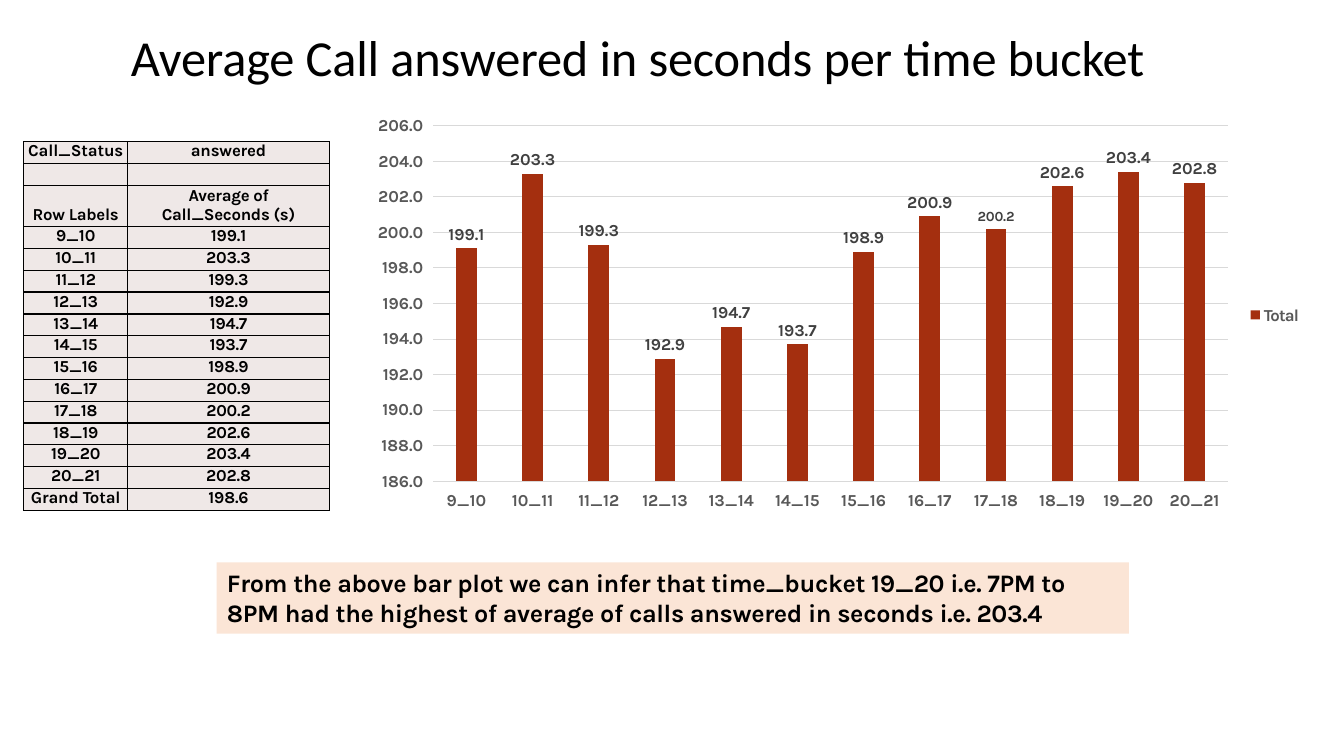
import pptx
import pptx.util
import pptx.chart.data
import pptx.dml.color
import pptx.enum.chart
import pptx.enum.shapes
import pptx.enum.text
import pptx.oxml
import pptx.oxml.ns
from pptx.util import Cm, Pt
from pptx.dml.color import RGBColor

BLACK = RGBColor(0x00, 0x00, 0x00)
DARK = RGBColor(0x40, 0x40, 0x40)
GREY = RGBColor(0x58, 0x58, 0x58)
GRID = RGBColor(0xD9, 0xD9, 0xD9)
RUST = RGBColor(0xA4, 0x2F, 0x0F)
CELL = RGBColor(0xEF, 0xE8, 0xE7)
PEACH = RGBColor(0xFB, 0xE5, 0xD6)

BUCKETS = [f"{hour}_{hour + 1}" for hour in range(9, 21)]
AVERAGES = [199.1, 203.3, 199.3, 192.9, 194.7, 193.7,
            198.9, 200.9, 200.2, 202.6, 203.4, 202.8]
ROWS = [("Call_Status", "answered"), ("", ""),
        ("Row Labels", "Average of Call_Seconds (s)"),
        *((b, str(a)) for b, a in zip(BUCKETS, AVERAGES)),
        ("Grand Total", "198.6")]
HEADER_ROW = 2


class SlideBuilder:
    text_font = "Karla"
    title_font = "Calibri"

    def __init__(self, prs):
        self.s = prs.slides.add_slide(prs.slide_layouts[6])

    def font(self, font, size, color, bold=True, name=text_font):
        font.size = Pt(size)
        font.name = name
        font.bold = bold
        font.color.rgb = color

    def spacing(self, p, points):
        props = p._p.get_or_add_pPr().get_or_add_defRPr()
        props.set("spc", str(round(points * 100)))

    def frame(self, tf, left=0, top=0, right=0):
        tf.word_wrap = True
        tf.margin_left, tf.margin_top = Cm(left), Cm(top)
        tf.margin_right, tf.margin_bottom = Cm(right), 0

    def text(self, text, left, top, width, height, size, color, bold, name, spacing):
        tf = self.s.shapes.add_textbox(Cm(left), Cm(top), Cm(width), Cm(height)).text_frame
        self.frame(tf, top=0.05)
        tf.vertical_anchor = pptx.enum.text.MSO_ANCHOR.MIDDLE
        p = tf.paragraphs[0]
        p.text = text
        self.font(p.font, size, color, bold, name)
        self.spacing(p, spacing)

    def title(self, text, *box):
        self.text(text, *box, 36, BLACK, False, self.title_font, -0.1)

    def box(self, left, top, width, height, color):
        sp = self.s.shapes.add_shape(pptx.enum.shapes.MSO_SHAPE.RECTANGLE,
                                     Cm(left), Cm(top), Cm(width), Cm(height))
        sp.shadow.inherit = False
        sp.fill.solid()
        sp.fill.fore_color.rgb = color
        sp.line.fill.background()
        return sp

    def callout(self, text, *box):
        tf = self.box(*box, PEACH).text_frame
        self.frame(tf, 0.26, 0.13, 1.5)
        tf.vertical_anchor = pptx.enum.text.MSO_ANCHOR.TOP
        p = tf.paragraphs[0]
        p.text = text
        p.alignment = pptx.enum.text.PP_ALIGN.LEFT
        p.space_before = Pt(3.2)
        self.font(p.font, 18, BLACK)
        self.spacing(p, -0.26)

    def legend(self, text, left, top):
        self.box(left, top + 0.2, 0.23, 0.23, RUST)
        self.text(text, left + 0.33, top, 1.2, 0.58, 12, GREY, True, self.text_font, -0.6)

    def baseline(self, left, right, y):
        line = self.s.shapes.add_connector(pptx.enum.shapes.MSO_CONNECTOR.STRAIGHT,
                                           Cm(left), Cm(y), Cm(right), Cm(y))
        line.line.color.rgb = GRID
        line.line.width = Pt(0.75)
        line._element.spPr.append(pptx.oxml.parse_xml(
            f'<a:effectLst {pptx.oxml.ns.nsdecls("a")}/>'))

    def borders(self, cell):
        props = cell._tc.get_or_add_tcPr()
        for i, side in enumerate(("lnL", "lnR", "lnT", "lnB")):
            props.insert(i, pptx.oxml.parse_xml(
                f'<a:{side} {pptx.oxml.ns.nsdecls("a")} w="12700"><a:solidFill>'
                f'<a:srgbClr val="{BLACK}"/></a:solidFill></a:{side}>'))

    def table(self, rows, left, top, widths, row_height, header_height):
        height = row_height * (len(rows) - 1) + header_height
        table = self.s.shapes.add_table(len(rows), len(widths), Cm(left), Cm(top),
                                        Cm(sum(widths)), Cm(height)).table
        for column, width in zip(table.columns, widths):
            column.width = Cm(width)
        for i, row in enumerate(rows):
            header = i == HEADER_ROW
            table.rows[i].height = Cm(header_height if header else row_height)
            for j, text in enumerate(row):
                cell = table.cell(i, j)
                cell.fill.solid()
                cell.fill.fore_color.rgb = CELL
                self.borders(cell)
                side = Cm(0.8) if header and j == 1 else 0
                cell.margin_left = cell.margin_right = side
                cell.margin_top = 0
                cell.margin_bottom = Cm(0.04) if header else 0
                if header:
                    cell.vertical_anchor = pptx.enum.text.MSO_ANCHOR.BOTTOM
                p = cell.text_frame.paragraphs[0]
                p.text = text
                p.alignment = pptx.enum.text.PP_ALIGN.CENTER
                p.line_spacing = Pt(13.8)
                p.space_before = Pt(0.8)
                self.font(p.font, 12, BLACK)
                self.spacing(p, -0.2 if header else -0.1)

    def bar_chart(self, left, top, width, height, plot_box):
        data = pptx.chart.data.CategoryChartData(number_format="0.0")
        data.categories = BUCKETS
        data.add_series("Total", AVERAGES)
        kind = pptx.enum.chart.XL_CHART_TYPE.COLUMN_CLUSTERED
        chart = self.s.shapes.add_chart(kind, Cm(left), Cm(top), Cm(width),
                                        Cm(height), data).chart
        chart.has_title = False
        chart.has_legend = False
        self.font(chart.font, 12, GREY)

        plot = chart.plots[0]
        plot.gap_width = 220
        plot.vary_by_categories = False
        series = plot.series[0]
        series.format.fill.solid()
        series.format.fill.fore_color.rgb = RUST
        labels = series.data_labels
        labels.show_value = True
        labels.number_format = "0.0"
        labels.number_format_is_linked = False
        labels.position = pptx.enum.chart.XL_LABEL_POSITION.OUTSIDE_END
        self.font(labels.font, 12, DARK)
        small = series.points[BUCKETS.index("17_18")].data_label
        self.font(small.font, 10, DARK)
        small.position = pptx.enum.chart.XL_LABEL_POSITION.OUTSIDE_END

        values = chart.value_axis
        values.minimum_scale, values.maximum_scale, values.major_unit = 186, 206, 2
        values.tick_labels.number_format = "0.0"
        values.tick_labels.number_format_is_linked = False
        values.major_gridlines.format.line.color.rgb = GRID
        values.major_gridlines.format.line.width = Pt(0.75)
        for axis in (values, chart.category_axis):
            axis.format.line.fill.background()
            axis.major_tick_mark = pptx.enum.chart.XL_TICK_MARK.OUTSIDE
            self.font(axis.tick_labels.font, 12, GREY)

        x, y, w, h = plot_box
        shares = ((x - left) / width, (y - top) / height, w / width, h / height)
        sizes = "".join(f'<c:{k} val="{v:.4f}"/>' for k, v in zip("xywh", shares))
        area = chart._chartSpace.chart.plotArea
        for old in area.findall(pptx.oxml.ns.qn("c:layout")):
            area.remove(old)
        area.insert(0, pptx.oxml.parse_xml(
            f'<c:layout {pptx.oxml.ns.nsdecls("c")}><c:manualLayout>'
            '<c:layoutTarget val="inner"/><c:xMode val="edge"/><c:yMode val="edge"/>'
            f'{sizes}</c:manualLayout></c:layout>'))


def main():
    prs = pptx.Presentation()
    prs.slide_width, prs.slide_height = Cm(33.87), Cm(19.05)
    slide = SlideBuilder(prs)
    slide.table(ROWS, 0.6, 3.57, (2.62, 5.08), 0.55, 1.04)
    slide.bar_chart(9, 2.5, 22.3, 10.8, (10.92, 3.17, 20.02, 8.96))
    slide.baseline(10.92, 30.94, 12.13)
    slide.legend("Total", 31.52, 7.62)
    slide.title("Average Call answered in seconds per time bucket",
                3.3, 0.61, 29.2, 1.57)
    slide.callout("From the above bar plot we can infer that time_bucket 19_20 "
                  "i.e. 7PM to 8PM had the highest of average of calls answered "
                  "in seconds i.e. 203.4", 5.46, 14.17, 22.99, 1.8)
    prs.save("out.pptx")


if __name__ == "__main__":
    main()
